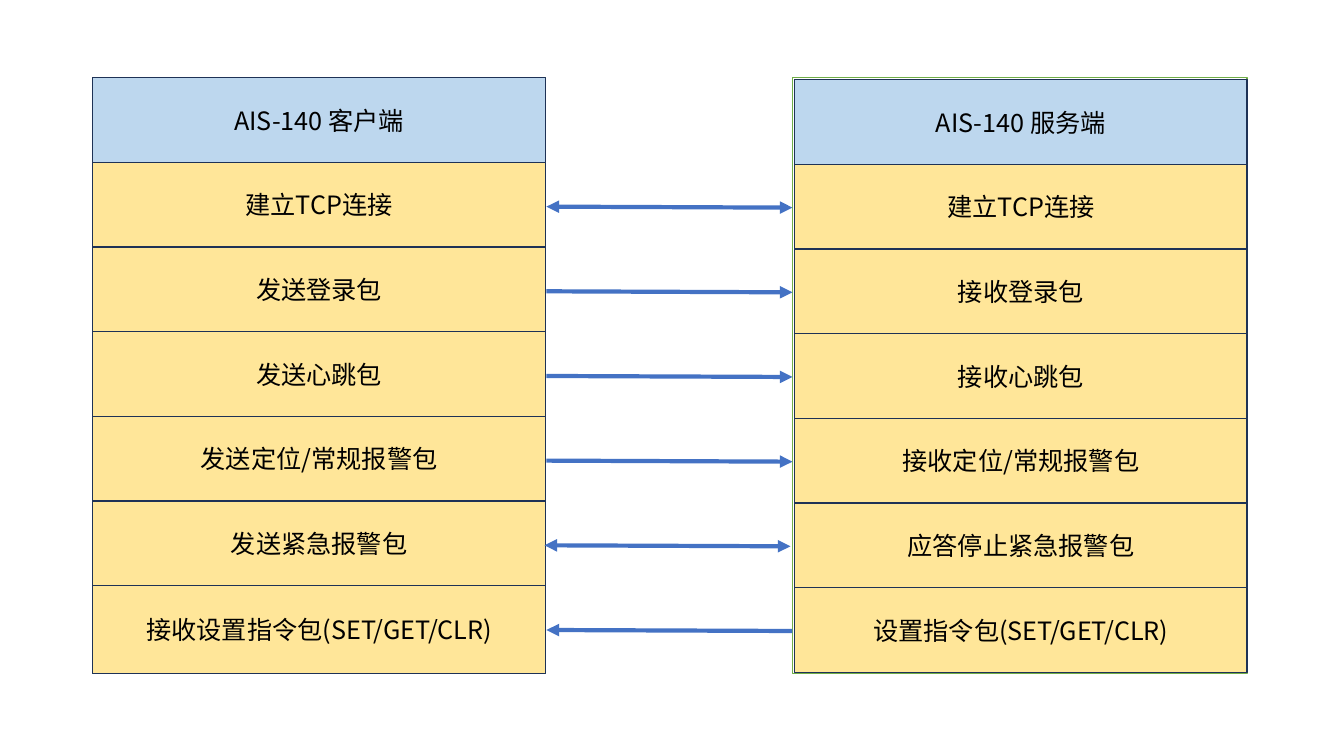
import dataclasses

import pptx
import pptx.dml.color
import pptx.enum.shapes
import pptx.enum.text
import pptx.oxml
import pptx.oxml.ns
import pptx.util

PX = 9144  # EMU: 100 px to the inch
FONT = "Noto Sans CJK SC"
ROW_HEIGHT = 84
ARROW_START, ARROW_END, ARROW_DROP = 542, 786, 2
HEADER_FILL, STEP_FILL, FRAME_FILL = "BDD7EE", "FFE699", "FFFFFF"
CELL_LINE, FRAME_LINE, ARROW_LINE = "1E3256", "70AD47", "4472C4"


@dataclasses.dataclass(frozen=True)
class Box:
    left: int
    top: int
    width: int
    height: int


@dataclasses.dataclass(frozen=True)
class Column:
    frame: Box
    left: int
    top: int
    width: int
    last_height: int
    labels: tuple[str, ...]


@dataclasses.dataclass(frozen=True)
class Message:
    """One exchange; arrowheads sit at the ends that receive."""
    to_client: bool
    to_server: bool
    shift: int = 0


CLIENT = Column(Box(92, 77, 449, 591), 92, 77, 449, 87, (
    "AIS-140 客户端", "建立TCP连接", "发送登录包", "发送心跳包",
    "发送定位/常规报警包", "发送紧急报警包", "接收设置指令包(SET/GET/CLR)"))
SERVER = Column(Box(786, 77, 451, 591), 788, 79, 449, ROW_HEIGHT, (
    "AIS-140 服务端", "建立TCP连接", "接收登录包", "接收心跳包",
    "接收定位/常规报警包", "应答停止紧急报警包", "设置指令包(SET/GET/CLR)"))
MESSAGES = (
    Message(True, True),
    Message(False, True),
    Message(False, True),
    Message(False, True),
    Message(True, True, shift=-2),
    Message(True, False),
)


def px(length: int) -> pptx.util.Emu:
    return pptx.util.Emu(length * PX)


def rgb(colour: str) -> pptx.dml.color.RGBColor:
    return pptx.dml.color.RGBColor.from_string(colour)


def apply_format(target, values: dict) -> None:
    for name, value in values.items():
        setattr(target, name, value)


def add_box(shapes, box: Box, fill: str, line: str):
    rectangle = shapes.add_shape(
        pptx.enum.shapes.MSO_SHAPE.RECTANGLE,
        px(box.left), px(box.top), px(box.width), px(box.height))
    rectangle.shadow.inherit = False
    rectangle.fill.solid()
    rectangle.fill.fore_color.rgb = rgb(fill)
    rectangle.line.color.rgb = rgb(line)
    rectangle.line.width = pptx.util.Pt(1)
    return rectangle


def add_label(rectangle, label: str) -> None:
    apply_format(rectangle.text_frame, {
        "word_wrap": True,
        "vertical_anchor": pptx.enum.text.MSO_ANCHOR.MIDDLE,
    })
    paragraph = rectangle.text_frame.paragraphs[0]
    paragraph.alignment = pptx.enum.text.PP_ALIGN.CENTER
    run = paragraph.add_run()
    run.text = label
    apply_format(run.font, {"name": FONT, "size": pptx.util.Pt(18)})
    run.font.color.rgb = rgb("000000")
    east_asian = pptx.oxml.ns.qn("a:ea")
    run.font._element.append(run.font._element.makeelement(east_asian, {"typeface": FONT}))


def add_column(shapes, column: Column) -> None:
    add_box(shapes, column.frame, FRAME_FILL, FRAME_LINE)
    last = len(column.labels) - 1
    for row, label in enumerate(column.labels):
        height = column.last_height if row == last else ROW_HEIGHT
        cell = Box(column.left, column.top + row * ROW_HEIGHT, column.width, height)
        fill = STEP_FILL if row else HEADER_FILL
        add_label(add_box(shapes, cell, fill, CELL_LINE), label)


def add_arrow(shapes, message: Message, row: int) -> None:
    y = CLIENT.top + row * ROW_HEIGHT + ROW_HEIGHT // 2 + ARROW_DROP
    arrow = shapes.add_connector(
        pptx.enum.shapes.MSO_CONNECTOR.STRAIGHT,
        px(ARROW_START + message.shift), px(y),
        px(ARROW_END + message.shift), px(y + 1))
    arrow.line.color.rgb = rgb(ARROW_LINE)
    arrow.line.width = pptx.util.Pt(3)
    outline = arrow.line._get_or_add_ln()
    for tag, shown in (("a:headEnd", message.to_client), ("a:tailEnd", message.to_server)):
        if shown:
            end = outline.makeelement(pptx.oxml.ns.qn(tag), {"type": "triangle"})
            outline.append(end)
    properties = arrow._element.spPr
    properties.append(properties.makeelement(pptx.oxml.ns.qn("a:effectLst"), {}))


def main() -> None:
    deck = pptx.Presentation()
    apply_format(deck, {"slide_width": px(1333), "slide_height": px(750)})
    shapes = deck.slides.add_slide(deck.slide_layouts[6]).shapes
    for column in (CLIENT, SERVER):
        add_column(shapes, column)
    for row, message in enumerate(MESSAGES, start=1):
        add_arrow(shapes, message, row)
    deck.save("out.pptx")


if __name__ == "__main__":
    main()
